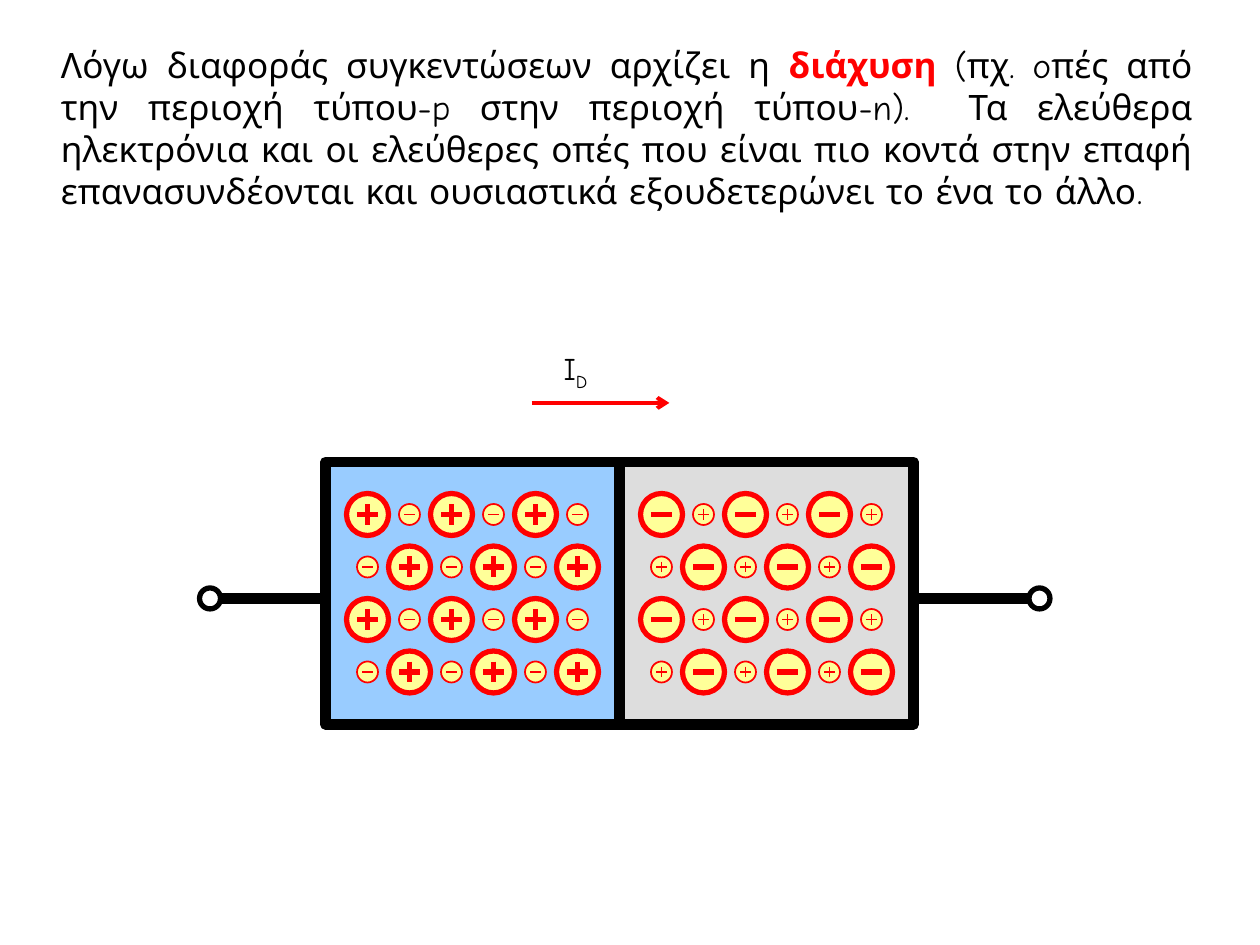
from dataclasses import dataclass
from itertools import product

from lxml.etree import SubElement
from pptx import Presentation
from pptx.dml.color import RGBColor
from pptx.enum.shapes import MSO_CONNECTOR as Connector, MSO_SHAPE as Shape
from pptx.enum.text import MSO_ANCHOR as Anchor, PP_ALIGN as Align
from pptx.oxml.ns import qn
from pptx.util import Emu, Pt

PX = 9525
FONT = "Comic Neue"
COLORS = {
    "black": "000000", "white": "FFFFFF", "red": "FF0000",
    "yellow": "FFFF99", "blue": "99CCFF", "grey": "DDDDDD",
}
ROWS, COLUMNS = 4, 6
COLUMN_STEP, ROW_STEP = 32, 40
FIRST_X, FIRST_Y = 32, 40
BOX_TOP, BOX_WIDTH, BOX_HEIGHT = 352, 224, 200
WIRE_Y, TERMINAL_RADIUS = 456, 8


@dataclass(frozen=True)
class Carrier:
    radius: int
    weight: float
    positive: bool


@dataclass(frozen=True)
class Region:
    left: int
    fill: str
    large: Carrier
    small: Carrier


@dataclass(frozen=True)
class Span:
    text: str
    color: str = "black"
    bold: bool = False
    subscript: bool = False


REGIONS = [
    Region(248, "blue", Carrier(16, 3, True), Carrier(8, 1, False)),
    Region(472, "grey", Carrier(16, 3, False), Carrier(8, 1, True)),
]
EXPLANATION = [
    Span("Λόγω διαφοράς συγκεντώσεων αρχίζει η "),
    Span("διάχυση", "red", bold=True),
    Span(" (πχ. oπές από την περιοχή τύπου-p στην περιοχή τύπου-n).  Τα ελεύθερα "
         "ηλεκτρόνια και οι ελεύθερες οπές που είναι πιο κοντά στην επαφή "
         "επανασυνδέονται και ουσιαστικά εξουδετερώνει το ένα το άλλο."),
]
CURRENT = [Span("I"), Span("D", subscript=True)]


def px(length: int) -> Emu:
    return Emu(length * PX)


def color(name: str) -> RGBColor:
    return RGBColor.from_string(COLORS[name])


def add_outlined(shapes, kind: Shape, left: int, top: int, width: int, height: int,
                 fill: str, line: str, weight: float) -> None:
    shape = shapes.add_shape(kind, px(left), px(top), px(width), px(height))
    shape.shadow.inherit = False
    shape.fill.solid()
    shape.fill.fore_color.rgb = color(fill)
    shape.line.color.rgb = color(line)
    shape.line.width = Pt(weight)


def add_circle(shapes, x: int, y: int, radius: int, fill: str, line: str, weight: float) -> None:
    add_outlined(shapes, Shape.OVAL, x - radius, y - radius, 2 * radius, 2 * radius,
                 fill, line, weight)


def add_line(shapes, x1: int, y1: int, x2: int, y2: int, line: str, weight: float,
             arrow: bool = False) -> None:
    connector = shapes.add_connector(Connector.STRAIGHT, px(x1), px(y1), px(x2), px(y2))
    connector.line.color.rgb = color(line)
    connector.line.width = Pt(weight)
    properties = connector._element.spPr
    if arrow:
        SubElement(properties.find(qn("a:ln")), qn("a:tailEnd"), type="arrow")
    SubElement(properties, qn("a:effectLst"))


def add_carrier(page, carrier: Carrier, x: int, y: int) -> None:
    shapes = page.shapes.add_group_shape().shapes
    arm = carrier.radius // 2
    add_circle(shapes, x, y, carrier.radius, "yellow", "red", carrier.weight)
    add_line(shapes, x - arm, y, x + arm, y, "red", carrier.weight)
    if carrier.positive:
        add_line(shapes, x, y - arm, x, y + arm, "red", carrier.weight)


def add_text(shapes, left: int, top: int, width: int, height: int, spans: list[Span],
             size: int, align: Align, anchor: Anchor) -> None:
    frame = shapes.add_textbox(px(left), px(top), px(width), px(height)).text_frame
    frame.word_wrap = True
    frame.vertical_anchor = anchor
    para = frame.paragraphs[0]
    para.alignment = align
    for span in spans:
        run = para.add_run()
        run.text = span.text
        run.font.name = FONT
        run.font.size = Pt(size)
        run.font.bold = span.bold
        run.font.color.rgb = color(span.color)
        if span.subscript:
            run.font._element.set("baseline", "-25000")


def add_region(page, region: Region) -> None:
    for row, column in product(range(ROWS), range(COLUMNS)):
        carrier = region.small if (row + column) % 2 else region.large
        add_carrier(page, carrier, region.left + FIRST_X + column * COLUMN_STEP,
                    BOX_TOP + FIRST_Y + row * ROW_STEP)


def main() -> None:
    deck = Presentation()
    deck.slide_width, deck.slide_height = px(960), px(720)
    page = deck.slides.add_slide(deck.slide_layouts[6])

    wire_ends = (160, 792)
    add_line(page.shapes, wire_ends[0], WIRE_Y, wire_ends[1], WIRE_Y, "black", 6)
    for x in wire_ends:
        add_circle(page.shapes, x, WIRE_Y, TERMINAL_RADIUS, "white", "black", 3)
    for region in REGIONS:
        add_outlined(page.shapes, Shape.RECTANGLE, region.left, BOX_TOP, BOX_WIDTH, BOX_HEIGHT,
                     region.fill, "black", 6)
    for region in REGIONS:
        add_region(page, region)

    add_text(page.shapes, 37, 29, 881, 136, EXPLANATION, 20, Align.JUSTIFY, Anchor.MIDDLE)
    current = page.shapes.add_group_shape().shapes
    add_line(current, 405, 307, 510, 307, "red", 2.25, arrow=True)
    add_text(current, 420, 261, 53, 38, CURRENT, 18, Align.LEFT, Anchor.TOP)

    deck.save("out.pptx")


if __name__ == "__main__":
    main()
